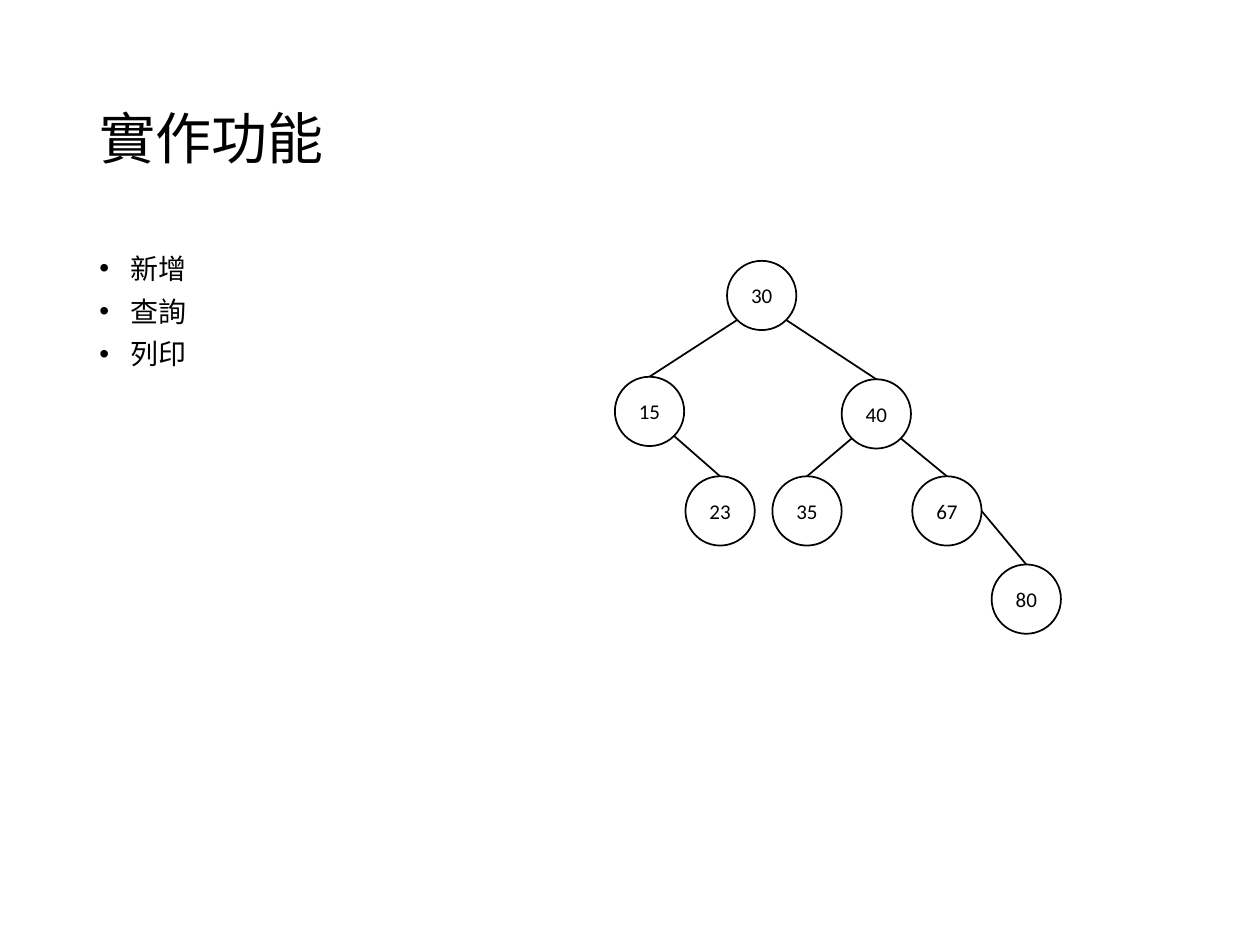
from dataclasses import dataclass
from math import sqrt

from lxml import etree
from pptx import Presentation
from pptx import util as u
from pptx.dml.color import RGBColor
from pptx.enum import shapes, text
from pptx.oxml.ns import qn


@dataclass(frozen=True)
class Theme:
    ink: RGBColor = RGBColor(0, 0, 0)
    paper: RGBColor = RGBColor(255, 255, 255)
    heading_font: str = "Noto Sans CJK SC"
    number_font: str = "Calibri"
    title_size: int = 32
    body_size: int = 16
    node_size: int = 12
    line_width: int = 1


def write_text(paragraph, content, *, font, size, color, align=text.PP_ALIGN.LEFT,
               spacing=None, before=0, bullet=None):
    """Fill one paragraph and format it."""
    if bullet:
        properties = paragraph._p.get_or_add_pPr()
        properties.set("marL", str(u.Inches(0.25)))
        properties.set("indent", str(-u.Inches(0.25)))
        etree.SubElement(properties, qn("a:buFont"), typeface="Arial")
        etree.SubElement(properties, qn("a:buChar"), char=bullet)
    paragraph.alignment = align
    paragraph.space_before = u.Pt(before)
    if spacing:
        paragraph.line_spacing = spacing
    run = paragraph.add_run()
    run.text = content
    run.font.name = font
    run.font.size = u.Pt(size)
    run.font.color.rgb = color
    etree.SubElement(run._r.get_or_add_rPr(), qn("a:ea"), typeface=font)


class SlideBuilder:
    def __init__(self, slide, theme):
        self.slide = slide
        self.theme = theme

    def title(self, content, left, top, width, height):
        shape = self.slide.shapes.title
        shape.left, shape.top = u.Inches(left), u.Inches(top)
        shape.width, shape.height = u.Inches(width), u.Inches(height)
        shape.text_frame.vertical_anchor = text.MSO_ANCHOR.MIDDLE
        write_text(shape.text_frame.paragraphs[0], content, font=self.theme.heading_font,
                   size=self.theme.title_size, color=self.theme.ink, spacing=0.9)

    def bullets(self, items, left, top, width, height):
        shape = self.slide.shapes.add_textbox(*map(u.Inches, (left, top, width, height)))
        frame = shape.text_frame
        frame.word_wrap = True
        for index, item in enumerate(items):
            paragraph = frame.add_paragraph() if index else frame.paragraphs[0]
            write_text(paragraph, item, font=self.theme.heading_font,
                       size=self.theme.body_size, color=self.theme.ink,
                       spacing=0.8, before=9 if index else 0, bullet="•")

    def node(self, label, left, top, size):
        shape = self.slide.shapes.add_shape(
            shapes.MSO_SHAPE.OVAL, *map(u.Inches, (left, top, size, size)))
        shape.shadow.inherit = False
        shape.fill.solid()
        shape.fill.fore_color.rgb = self.theme.paper
        shape.line.color.rgb = self.theme.ink
        shape.line.width = u.Pt(self.theme.line_width)
        frame = shape.text_frame
        frame.margin_left = frame.margin_right = 0
        frame.vertical_anchor = text.MSO_ANCHOR.MIDDLE
        write_text(frame.paragraphs[0], label, font=self.theme.number_font,
                   size=self.theme.node_size, color=self.theme.ink,
                   align=text.PP_ALIGN.CENTER)

    def edge(self, start, end):
        line = self.slide.shapes.add_connector(
            shapes.MSO_CONNECTOR.STRAIGHT, *map(u.Inches, (*start, *end)))
        line.line.color.rgb = self.theme.ink
        line.line.width = u.Pt(self.theme.line_width)
        etree.SubElement(line._element.spPr, qn("a:effectLst"))


# Tree: top-left corner of each node, and parent, child, exit direction
NODE_SIZE = 0.55
NODES = {
    "30": (5.77, 2.07), "40": (6.68, 3.01), "15": (4.88, 2.99),
    "23": (5.44, 3.78), "35": (6.13, 3.78), "67": (7.24, 3.78),
    "80": (7.87, 4.48),
}
DIAGONAL = 1 / sqrt(2)
LOWER_LEFT, LOWER_RIGHT, RIGHT = (-DIAGONAL, DIAGONAL), (DIAGONAL, DIAGONAL), (1, 0)
TOP = (0, -1)
EDGES = [
    ("30", "15", LOWER_LEFT), ("15", "23", LOWER_RIGHT), ("40", "67", LOWER_RIGHT),
    ("40", "35", LOWER_LEFT), ("30", "40", LOWER_RIGHT), ("67", "80", RIGHT),
]


def rim_point(label, direction):
    """Point on a node's circle in the given direction from its centre."""
    radius = NODE_SIZE / 2
    return [corner + radius * (1 + step) for corner, step in zip(NODES[label], direction)]


def main():
    presentation = Presentation()
    presentation.slide_width, presentation.slide_height = u.Inches(10), u.Inches(7.5)
    slide = presentation.slides.add_slide(presentation.slide_layouts[5])
    builder = SlideBuilder(slide, Theme())

    # Heading and feature list
    builder.title("實作功能", 0.69, 0.4, 8.62, 1.45)
    builder.bullets(["新增", "查詢", "列印"], 0.69, 2, 8.62, 4.76)

    # Binary search tree
    for label, (left, top) in NODES.items():
        builder.node(label, left, top, NODE_SIZE)
    for parent, child, direction in EDGES:
        builder.edge(rim_point(parent, direction), rim_point(child, TOP))

    presentation.save("out.pptx")


if __name__ == "__main__":
    main()
